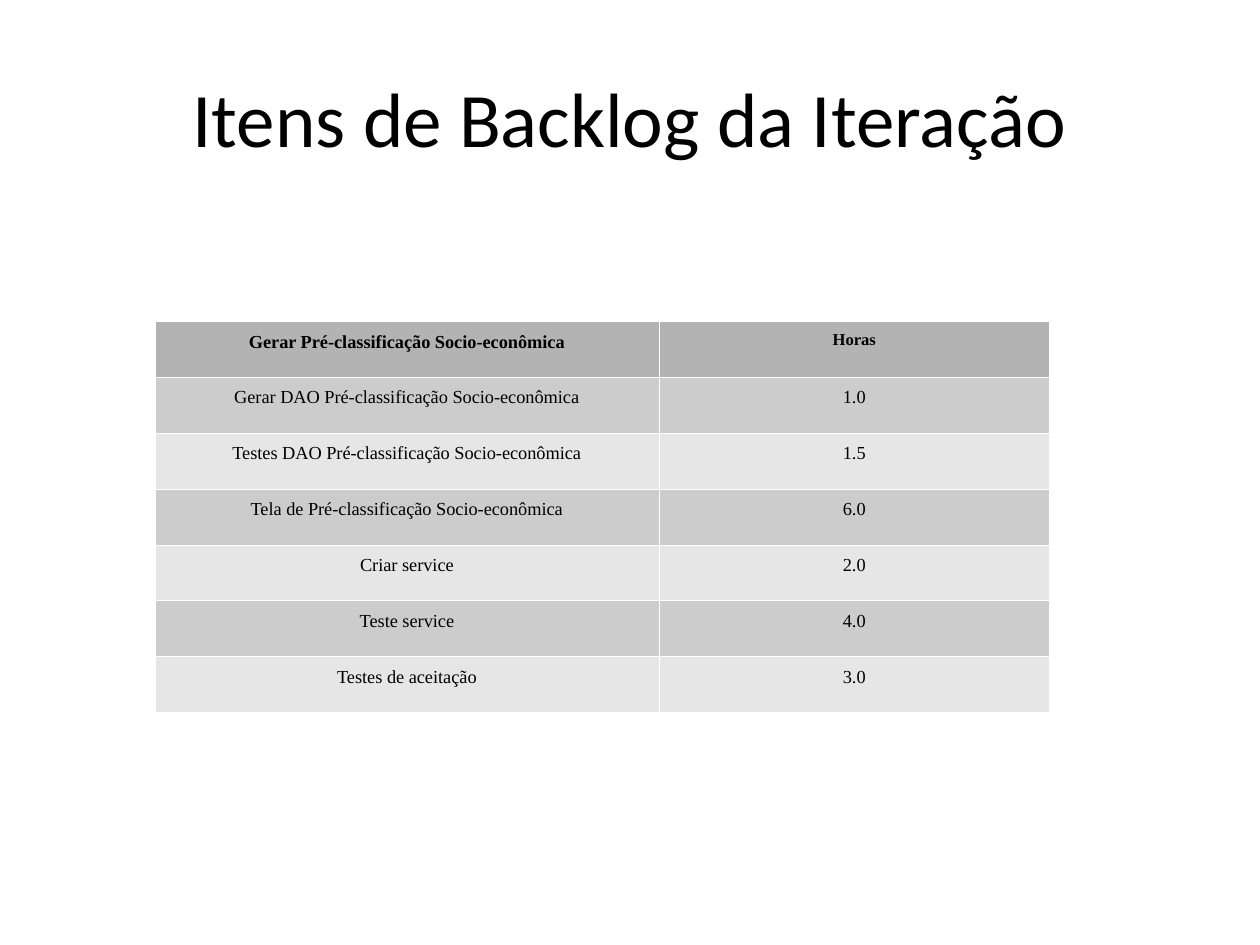
from lxml.etree import SubElement
from pptx import Presentation
from pptx.dml.color import RGBColor
from pptx.enum.text import MSO_ANCHOR, PP_ALIGN
from pptx.oxml.ns import qn
from pptx.util import Inches, Pt

COLORS = {"ink": "000000", "rule": "FFFFFF", "header": "B3B3B3",
          "odd": "CCCCCC", "even": "E6E6E6"}
BACKLOG = [
    ("Gerar Pré-classificação Socio-econômica", "Horas"),
    ("Gerar DAO Pré-classificação Socio-econômica", "1.0"),
    ("Testes DAO Pré-classificação Socio-econômica", "1.5"),
    ("Tela de Pré-classificação Socio-econômica", "6.0"),
    ("Criar service", "2.0"),
    ("Teste service", "4.0"),
    ("Testes de aceitação", "3.0"),
]


class BacklogSlide:
    """Holds the style and the current slide; lengths are percentages."""

    title_font, body_font = "Calibri", "Times New Roman"
    title_size, body_size, hours_size = 44, 10.5, 9.5
    line_spacing, rule_width = 1.2, 0.06

    def __init__(self, deck):
        """Add a blank slide to the deck."""
        self.width, self.height = deck.slide_width, deck.slide_height
        self.slide = deck.slides.add_slide(deck.slide_layouts[6])

    def area(self, left, top, width, height):
        """Turn percentages of the slide into lengths."""
        return (int(left * self.width / 100), int(top * self.height / 100),
                int(width * self.width / 100), int(height * self.height / 100))

    def set_text(self, frame, text, font, size, bold=False):
        """Set one centred, styled paragraph and return it."""
        frame.text = text
        paragraph = frame.paragraphs[0]
        paragraph.alignment = PP_ALIGN.CENTER
        style = paragraph.runs[0].font
        style.name, style.size, style.bold = font, Pt(size), bold
        style.color.rgb = RGBColor.from_string(COLORS["ink"])
        return paragraph

    def title(self, text, *shares):
        """Add the slide heading."""
        frame = self.slide.shapes.add_textbox(*self.area(*shares)).text_frame
        frame.word_wrap = True
        frame.vertical_anchor = MSO_ANCHOR.MIDDLE
        self.set_text(frame, text, self.title_font, self.title_size)

    def rule_cell(self, cell):
        """Draw a hairline on each side of a cell."""
        properties = cell._tc.get_or_add_tcPr()
        for position, side in enumerate(("lnL", "lnR", "lnT", "lnB")):
            line = properties.makeelement(
                qn(f"a:{side}"), {"w": str(int(Pt(self.rule_width)))})
            fill = SubElement(line, qn("a:solidFill"))
            SubElement(fill, qn("a:srgbClr"), val=COLORS["rule"])
            properties.insert(position, line)

    def table(self, rows, column_shares, *shares):
        """Add a table with a header and alternating row fills."""
        table = self.slide.shapes.add_table(
            len(rows), len(column_shares), *self.area(*shares)).table
        for column, share in zip(table.columns, column_shares):
            column.width = int(share * self.width / 100)
        for r, row in enumerate(rows):
            is_header = r == 0
            band = "header" if is_header else "odd" if r % 2 else "even"
            for c, text in enumerate(row):
                cell = table.cell(r, c)
                cell.margin_left = cell.margin_right = Inches(0.1)
                cell.margin_top = cell.margin_bottom = Inches(0.05)
                cell.fill.solid()
                cell.fill.fore_color.rgb = RGBColor.from_string(COLORS[band])
                size = self.hours_size if is_header and c else self.body_size
                paragraph = self.set_text(cell.text_frame, text,
                                          self.body_font, size, is_header)
                paragraph.line_spacing = self.line_spacing
                self.rule_cell(cell)


def main():
    """Build the deck and save it."""
    deck = Presentation()
    deck.slide_width, deck.slide_height = Inches(10), Inches(7.5)
    page = BacklogSlide(deck)
    page.title("Itens de Backlog da Iteração", 5, 4, 90, 16.67)
    page.table(BACKLOG, (40, 31), 12.3, 34, 71, 41.4)
    deck.save("out.pptx")


main()
